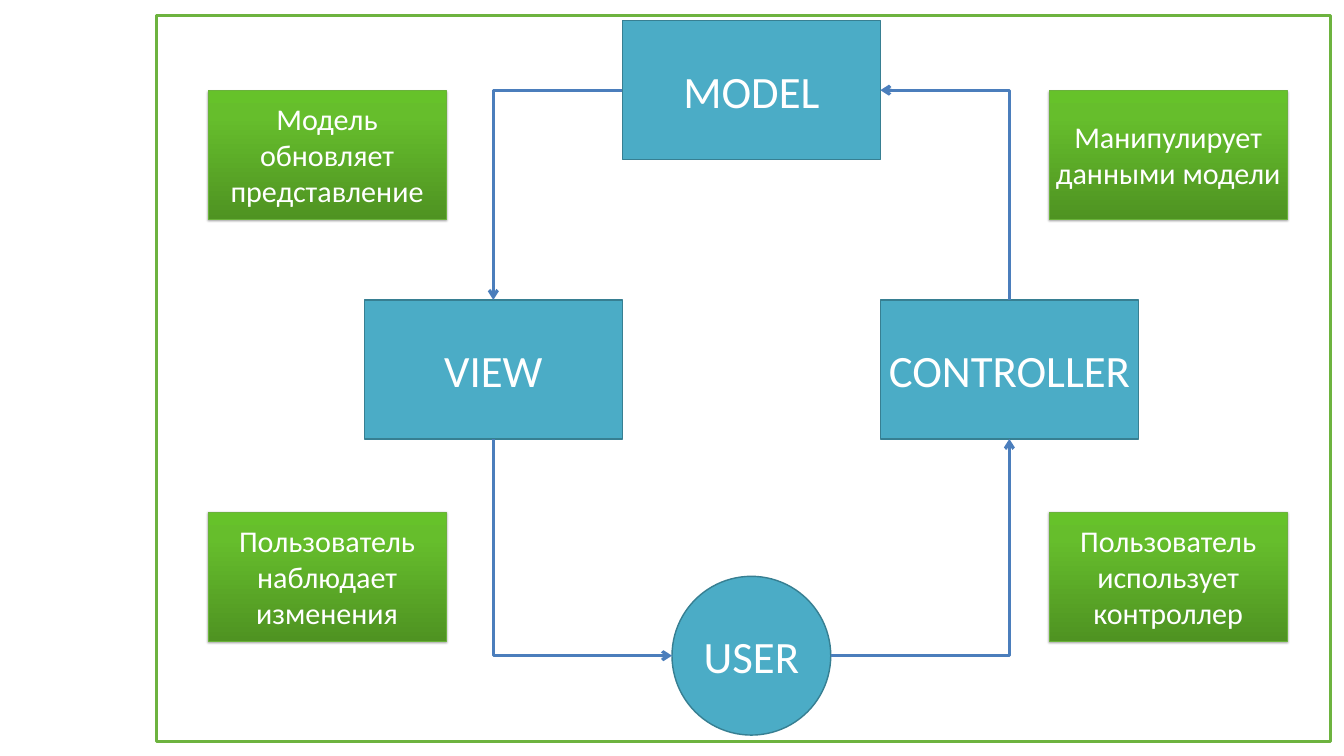
from copy import deepcopy

from pptx import Presentation
from pptx.dml.color import RGBColor
from pptx.enum.shapes import MSO_CONNECTOR as CONNECTOR, MSO_SHAPE as SHAPE
from pptx.enum.text import MSO_ANCHOR as ANCHOR, PP_ALIGN as ALIGN
from pptx.oxml import parse_xml
from pptx.oxml.ns import nsdecls, qn
from pptx.util import Inches, Pt

# Content: name, shape, centre x, centre y, width, height
BOX_W, BOX_H, CIRCLE = 5.12, 2.76, 3.15
CENTRE_X = 14.91
NODES = [
    ("USER", SHAPE.OVAL, CENTRE_X, 13.01, CIRCLE, CIRCLE),
    ("CONTROLLER", SHAPE.RECTANGLE, CENTRE_X + BOX_W, 7.33, BOX_W, BOX_H),
    ("VIEW", SHAPE.RECTANGLE, CENTRE_X - BOX_W, 7.33, BOX_W, BOX_H),
    ("MODEL", SHAPE.RECTANGLE, CENTRE_X, 1.79, BOX_W, BOX_H),
]
# From node and side, to node and side
FLOWS = [
    ("CONTROLLER", "top", "MODEL", "right"),
    ("MODEL", "left", "VIEW", "top"),
    ("USER", "right", "CONTROLLER", "bottom"),
    ("VIEW", "bottom", "USER", "left"),
]
SIDES = {"top": (0, -0.5), "left": (-0.5, 0), "bottom": (0, 0.5), "right": (0.5, 0)}

NOTE_W, NOTE_H = 4.72, 2.56
LEFT, RIGHT, TOP, BOTTOM = 4.13, 20.82, 1.79, 10.16
NOTES = [
    ("Манипулирует данными модели", RIGHT, TOP),
    ("Пользователь использует контроллер", RIGHT, BOTTOM),
    ("Модель обновляет представление", LEFT, TOP),
    ("Пользователь наблюдает изменения", LEFT, BOTTOM),
]
NOTE_GRADIENT = [(0, "4F9322"), (0.8, "66BE2C"), (1, "66C22A")]


def color(value):
    return RGBColor.from_string(value)


def add_box(slide, kind, left, top, width, height, line, line_width, fill=None):
    shape = slide.shapes.add_shape(
        kind, Inches(left), Inches(top), Inches(width), Inches(height))
    shape.shadow.inherit = False
    if fill:
        shape.fill.solid()
        shape.fill.fore_color.rgb = color(fill)
    shape.line.color.rgb = color(line)
    shape.line.width = Pt(line_width)
    return shape


def write(shape, text, size):
    frame = shape.text_frame
    frame.word_wrap = True
    frame.vertical_anchor = ANCHOR.MIDDLE
    paragraph = frame.paragraphs[0]
    paragraph.alignment = ALIGN.CENTER
    run = paragraph.add_run()
    run.text = text
    run.font.name = "Calibri"
    run.font.size = Pt(size)
    run.font.color.rgb = color("FFFFFF")


def style_note(shape):
    """Vertical three-stop gradient and a soft shadow below."""
    shape.fill.gradient()
    shape.fill.gradient_angle = 90
    stop_list = shape._element.spPr.find(qn("a:gradFill")).find(qn("a:gsLst"))
    stop_list.append(deepcopy(stop_list[-1]))
    for stop, (position, value) in zip(shape.fill.gradient_stops, NOTE_GRADIENT):
        stop.position = position
        stop.color.rgb = color(value)
    shape._element.spPr.find(qn("a:effectLst")).append(parse_xml(
        f'<a:outerShdw {nsdecls("a")} blurRad="{Pt(3.1)}" dist="{Pt(1.8)}" '
        'dir="5400000" rotWithShape="0"><a:srgbClr val="000000">'
        '<a:alpha val="35000"/></a:srgbClr></a:outerShdw>'))


def add_flow(slide, start, end, vertical_first):
    """One-bend arrow; a vertical first leg is a horizontal one turned by 270°."""
    (x1, y1), (x2, y2) = start, end
    if vertical_first:
        middle_x, middle_y = (x1 + x2) / 2, (y1 + y2) / 2
        half_x, half_y = (y1 - y2) / 2, (x2 - x1) / 2
        x1, y1 = middle_x - half_x, middle_y - half_y
        x2, y2 = middle_x + half_x, middle_y + half_y
    connector = slide.shapes.add_connector(
        CONNECTOR.ELBOW, Inches(x1), Inches(y1), Inches(x2), Inches(y2))
    connector.line.color.rgb = color("4B7EBC")
    connector.line.width = Pt(4.5)
    properties = connector._element.spPr
    properties.find(qn("a:prstGeom")).set("prst", "bentConnector2")
    if vertical_first:
        properties.find(qn("a:xfrm")).set("rot", str(270 * 60000))
    properties.find(qn("a:ln")).append(
        parse_xml(f'<a:tailEnd {nsdecls("a")} type="arrow"/>'))
    properties.append(parse_xml(f'<a:effectLst {nsdecls("a")}/>'))


def main():
    presentation = Presentation()
    presentation.slide_width, presentation.slide_height = Inches(26.67), Inches(15)
    slide = presentation.slides.add_slide(presentation.slide_layouts[6])

    # Frame
    frame = add_box(slide, SHAPE.ROUNDED_RECTANGLE, 3.1, 0.3, 23.31, 14.41,
                    "6DB33F", 4.5, "FFFFFF")
    frame.adjustments[0] = 0

    # Nodes, with the middle of each side
    ports = {}
    for name, kind, x, y, width, height in NODES:
        node = add_box(slide, kind, x - width / 2, y - height / 2, width, height,
                       "377F92", 2, "4BACC6")
        # Narrow side margins keep the longest name on one line
        node.text_frame.margin_left = node.text_frame.margin_right = Inches(0.1)
        write(node, name, 64)
        for side, (dx, dy) in SIDES.items():
            ports[name, side] = (x + dx * width, y + dy * height)

    # Flows
    for source, source_side, target, target_side in FLOWS:
        add_flow(slide, ports[source, source_side], ports[target, target_side],
                 source_side in ("top", "bottom"))

    # Notes
    for text, left, top in NOTES:
        note = add_box(slide, SHAPE.RECTANGLE, left, top, NOTE_W, NOTE_H, "6AB23B", 0.75)
        style_note(note)
        write(note, text, 43)

    presentation.save("out.pptx")


if __name__ == "__main__":
    main()
